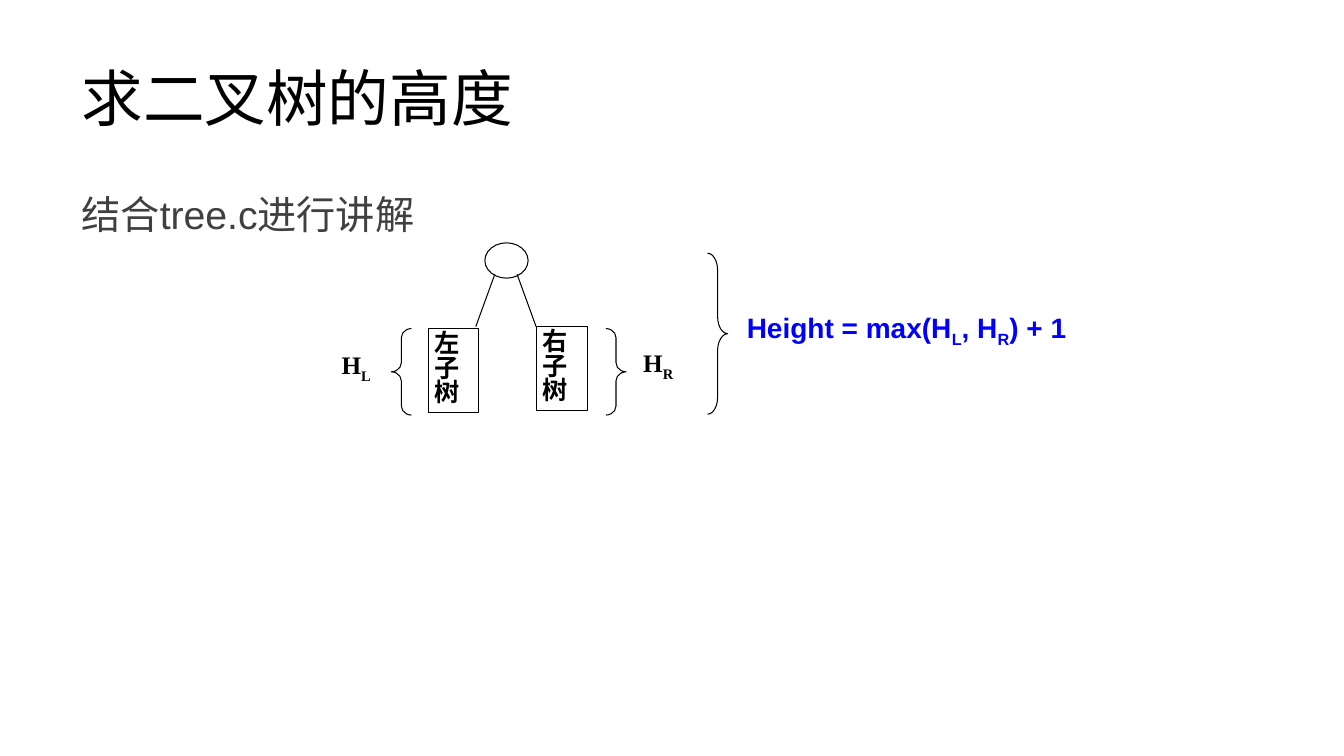
"""Build a slide that explains the height of a binary tree."""
from typing import NamedTuple

from lxml import etree
from pptx import Presentation
from pptx.dml.color import RGBColor
from pptx.enum.shapes import MSO_CONNECTOR, MSO_SHAPE
from pptx.enum.text import MSO_ANCHOR, MSO_AUTO_SIZE, PP_ALIGN
from pptx.oxml.ns import qn
from pptx.util import Cm, Pt

BLACK = RGBColor(0x00, 0x00, 0x00)
WHITE = RGBColor(0xFF, 0xFF, 0xFF)
GRAY = RGBColor(0x40, 0x40, 0x40)
BLUE = RGBColor(0x00, 0x00, 0xFF)

OVAL, RECTANGLE = MSO_SHAPE.OVAL, MSO_SHAPE.RECTANGLE
LEFT_BRACE, RIGHT_BRACE = MSO_SHAPE.LEFT_BRACE, MSO_SHAPE.RIGHT_BRACE
STRAIGHT = MSO_CONNECTOR.STRAIGHT
TOP, MIDDLE = MSO_ANCHOR.TOP, MSO_ANCHOR.MIDDLE
LEFT, JUSTIFY = PP_ALIGN.LEFT, PP_ALIGN.JUSTIFY
NO_AUTOFIT = MSO_AUTO_SIZE.NONE
LINE_WIDTH = Pt(0.75)


class Box(NamedTuple):
    """Place and size in centimetres."""
    left: float
    top: float
    width: float
    height: float


class TextStyle(NamedTuple):
    """Look of one paragraph."""
    font: str
    size: float
    color: RGBColor
    bold: bool = False
    align: PP_ALIGN = LEFT
    spacing: float = 1.0


class Run(NamedTuple):
    """Piece of text, either normal or subscript."""
    text: str
    subscript: bool = False


class Label(NamedTuple):
    """Text on a white rectangle."""
    box: Box
    runs: list[Run]
    style: TextStyle
    margins: tuple[float, float]
    outlined: bool = False


class Brace(NamedTuple):
    """Curly brace with its curl size."""
    kind: MSO_SHAPE
    box: Box
    curl: float


class Edge(NamedTuple):
    """Horizontal ends of a tree edge in centimetres."""
    start: float
    end: float


TITLE_STYLE = TextStyle("Arial", 44, BLACK, spacing=0.9)
BODY_STYLE = TextStyle("Arial", 28, GRAY)
SUBTREE_STYLE = TextStyle("Noto Sans CJK SC", 18, BLACK, True, JUSTIFY, 0.8)
HEIGHT_STYLE = TextStyle("Times New Roman", 18, BLACK, True, JUSTIFY)
FORMULA_STYLE = TextStyle("Arial", 20, BLUE, True, JUSTIFY)
SUBTREE_MARGINS = (0.15, 0.15)
LABEL_MARGINS = (0, 0.05)

ROOT = Box(12.22, 6.12, 1.09, 0.89)
EDGE_TOP, EDGE_BOTTOM = 6.91, 8.23
EDGES = [Edge(12.47, 11.99), Edge(13.03, 13.51)]
BRACES = [
    Brace(LEFT_BRACE, Box(9.86, 8.28, 0.51, 2.18), 0.45),
    Brace(RIGHT_BRACE, Box(15.27, 8.28, 0.51, 2.18), 0.45),
    Brace(RIGHT_BRACE, Box(17.83, 6.38, 0.51, 4.06), 0.84),
]
LABELS = [
    Label(Box(10.8, 8.28, 1.25, 2.11), [Run("左子树")], SUBTREE_STYLE, SUBTREE_MARGINS, True),
    Label(Box(13.51, 8.23, 1.3, 2.11), [Run("右子树")], SUBTREE_STYLE, SUBTREE_MARGINS, True),
    Label(Box(8.61, 8.69, 0.89, 1.8), [Run("H"), Run("L", True)], HEIGHT_STYLE, LABEL_MARGINS),
    Label(Box(16.21, 8.64, 0.89, 1.8), [Run("H"), Run("R", True)], HEIGHT_STYLE, LABEL_MARGINS),
    Label(
        Box(18.82, 7.7, 8.2, 1.12),
        [Run("Height = max(H"), Run("L", True), Run(", H"), Run("R", True), Run(") + 1")],
        FORMULA_STYLE,
        LABEL_MARGINS,
    ),
]


def write_text(shape, runs: list[Run], style: TextStyle, anchor: MSO_ANCHOR) -> None:
    """Fill a shape with one formatted paragraph."""
    frame = shape.text_frame
    frame.word_wrap = True
    frame.auto_size = NO_AUTOFIT
    frame.vertical_anchor = anchor
    paragraph = frame.paragraphs[0]
    paragraph.alignment = style.align
    paragraph.line_spacing = style.spacing
    paragraph.space_before = Pt(0)
    paragraph.font.name = style.font
    paragraph.font.size = Pt(style.size)
    paragraph.font.bold = style.bold
    paragraph.font.color.rgb = style.color
    for part in runs:
        run = paragraph.add_run()
        run.text = part.text
        if part.subscript:
            run._r.get_or_add_rPr().set("baseline", "-25000")


def fill_placeholder(shape, box: Box, text: str, style: TextStyle, anchor: MSO_ANCHOR) -> None:
    """Move a placeholder and write its text without a bullet."""
    shape.left, shape.top, shape.width, shape.height = map(Cm, box)
    write_text(shape, [Run(text)], style, anchor)
    properties = shape.text_frame.paragraphs[0]._p.get_or_add_pPr()
    properties.set("marL", "0")
    properties.set("indent", "0")
    bullet = etree.Element(qn("a:buNone"))
    properties.find(qn("a:defRPr")).addprevious(bullet)


def add_outline(line) -> None:
    """Give a line the thin black stroke of the diagram."""
    line.color.rgb = BLACK
    line.width = LINE_WIDTH


def add_figure(shapes, kind: MSO_SHAPE, box: Box, filled: bool = True, outlined: bool = True):
    """Add a flat preset shape."""
    shape = shapes.add_shape(kind, *map(Cm, box))
    shape.shadow.inherit = False
    if filled:
        shape.fill.solid()
        shape.fill.fore_color.rgb = WHITE
    else:
        shape.fill.background()
    if outlined:
        add_outline(shape.line)
    else:
        shape.line.fill.background()
    return shape


def add_label(shapes, label: Label) -> None:
    """Add a rectangle with text."""
    shape = add_figure(shapes, RECTANGLE, label.box, outlined=label.outlined)
    frame = shape.text_frame
    frame.margin_left, frame.margin_right = map(Cm, label.margins)
    write_text(shape, label.runs, label.style, TOP)


def add_brace(shapes, brace: Brace) -> None:
    """Add a curly brace."""
    shape = add_figure(shapes, brace.kind, brace.box, filled=False)
    shape.adjustments[0] = brace.curl


def add_edge(shapes, edge: Edge) -> None:
    """Add an edge from the root to a subtree."""
    ends = map(Cm, (edge.start, EDGE_TOP, edge.end, EDGE_BOTTOM))
    connector = shapes.add_connector(STRAIGHT, *ends)
    add_outline(connector.line)
    etree.SubElement(connector._element.spPr, qn("a:effectLst"))


def main() -> None:
    """Build and save the slide."""
    presentation = Presentation()
    presentation.slide_width = Cm(33.87)
    presentation.slide_height = Cm(19.05)
    slide = presentation.slides.add_slide(presentation.slide_layouts[1])
    title, body = slide.placeholders
    fill_placeholder(title, Box(1.8, 0.71, 29.21, 3.68), "求二叉树的高度", TITLE_STYLE, MIDDLE)
    fill_placeholder(body, Box(1.8, 4.67, 8.92, 1.45), "结合tree.c进行讲解", BODY_STYLE, TOP)

    tree = slide.shapes.add_group_shape().shapes
    add_figure(tree, OVAL, ROOT)
    for edge in EDGES:
        add_edge(tree, edge)
    for label in LABELS:
        add_label(tree, label)
    for brace in BRACES:
        add_brace(tree, brace)
    presentation.save("out.pptx")


main()
